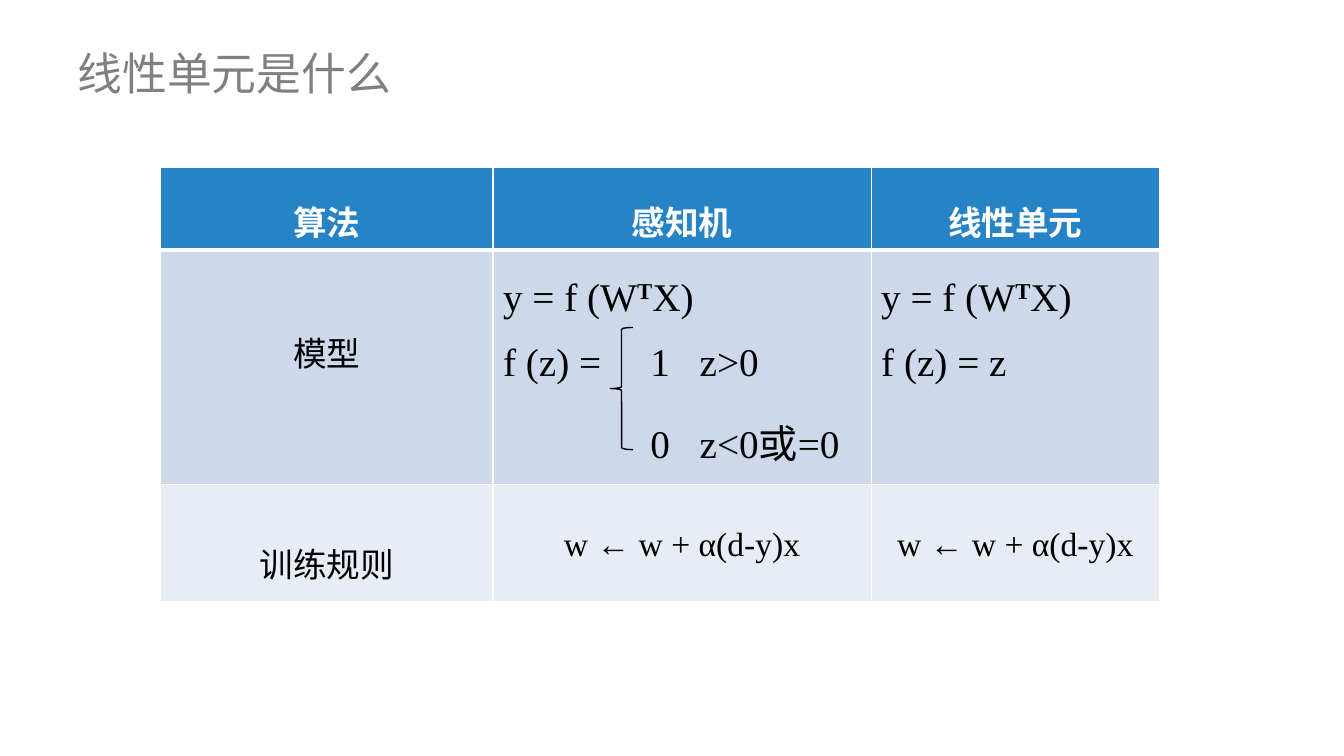
from dataclasses import dataclass

import lxml.etree
import pptx
import pptx.dml.color
import pptx.enum.shapes
import pptx.enum.text
import pptx.oxml.ns
import pptx.util

Inches = pptx.util.Inches
Pt = pptx.util.Pt
qn = pptx.oxml.ns.qn
CENTER = pptx.enum.text.PP_ALIGN.CENTER
LEFT = pptx.enum.text.PP_ALIGN.LEFT


@dataclass(frozen=True)
class Theme:
    chinese: str = "Noto Sans CJK SC"
    formula: str = "Times New Roman"
    title_size: int = 32
    label_size: int = 24
    model_size: int = 28
    title_color: str = "808080"
    header_fill: str = "2683C6"
    model_fill: str = "CDD9EA"
    rule_fill: str = "E8EDF5"
    white: str = "FFFFFF"
    black: str = "000000"


THEME = Theme()
SLIDE_SIZE = (13.33, 7.5)
TITLE_BOX = (0.67, 0.3, 12, 0.84)
COLUMNS = (3.3, 3.75, 2.86)
ROWS = (0.82, 2.33, 1.16)
TABLE_BOX = (1.59, 1.66, sum(COLUMNS), sum(ROWS))
MODEL_BOX = (TABLE_BOX[0] + COLUMNS[0], TABLE_BOX[1] + ROWS[0], COLUMNS[1], ROWS[1])
CASE_TABS = (1.46, 1.95)

HEADERS = ("算法", "感知机", "线性单元")
OUTPUT = (("y = f (W", False), ("T", True), ("X)", False))
PERCEPTRON = (OUTPUT, (("f (z) =\t1\tz>0", False),), (("\t0\tz<0或=0", False),))
LINEAR_UNIT = (OUTPUT, (("f (z) = z", False),))
UPDATE = "w ← w + α(d-y)x"


def rgb(color):
    return pptx.dml.color.RGBColor.from_string(color)


def add_run(paragraph, text, font, size, color, bold=False, superscript=False):
    run = paragraph.add_run()
    run.text = text
    run.font.name = font
    run.font.size = Pt(size)
    run.font.bold = bold or superscript
    run.font.color.rgb = rgb(color)
    properties = run.font._element
    east_asian = lxml.etree.SubElement(properties, qn("a:ea"))
    east_asian.set("typeface", THEME.chinese)
    properties.find(qn("a:latin")).addnext(east_asian)
    if superscript:
        properties.set("baseline", "30000")


def add_tab_stops(paragraph, positions):
    tab_list = lxml.etree.SubElement(paragraph._p.get_or_add_pPr(), qn("a:tabLst"))
    for position in positions:
        tab = lxml.etree.SubElement(tab_list, qn("a:tab"))
        tab.set("pos", str(Inches(position)))
        tab.set("algn", "l")


def style_cell(cell, fill, top, bottom):
    """Fill the cell and give it white borders, with top and bottom widths in points."""
    properties = cell._tc.get_or_add_tcPr()
    for side, width in (("L", 1), ("R", 1), ("T", top), ("B", bottom)):
        line = lxml.etree.SubElement(properties, qn(f"a:ln{side}"), w=str(Pt(width)))
        solid = lxml.etree.SubElement(line, qn("a:solidFill"))
        lxml.etree.SubElement(solid, qn("a:srgbClr"), val=THEME.white)
    cell.fill.solid()
    cell.fill.fore_color.rgb = rgb(fill)


def write_label(cell, text, font, spacing, color=THEME.black, bold=False):
    paragraph = cell.text_frame.paragraphs[0]
    paragraph.alignment = CENTER
    paragraph.line_spacing = spacing
    add_run(paragraph, text, font, THEME.label_size, color, bold)


def write_formulas(cell, formulas):
    frame = cell.text_frame
    for index, pieces in enumerate(formulas):
        paragraph = frame.add_paragraph() if index else frame.paragraphs[0]
        paragraph.alignment = LEFT
        paragraph.line_spacing = 1.5
        if any("\t" in text for text, _ in pieces):
            add_tab_stops(paragraph, CASE_TABS)
        for text, superscript in pieces:
            add_run(paragraph, text, THEME.formula, THEME.model_size,
                    THEME.black, superscript=superscript)


def add_title(slide, box):
    frame = slide.shapes.add_textbox(*map(Inches, box)).text_frame
    frame.word_wrap = True
    frame.vertical_anchor = pptx.enum.text.MSO_ANCHOR.MIDDLE
    add_run(frame.paragraphs[0], "线性单元是什么", THEME.chinese,
            THEME.title_size, THEME.title_color)


def add_comparison_table(slide, box):
    table = slide.shapes.add_table(len(ROWS), len(COLUMNS), *map(Inches, box)).table
    for column, width in zip(table.columns, COLUMNS):
        column.width = Inches(width)
    for row, height in zip(table.rows, ROWS):
        row.height = Inches(height)

    row_styles = ((THEME.header_fill, 1, 3), (THEME.model_fill, 3, 1),
                  (THEME.rule_fill, 1, 1))
    for row, row_style in zip(table.rows, row_styles):
        for cell in row.cells:
            style_cell(cell, *row_style)

    for column, text in enumerate(HEADERS):
        write_label(table.cell(0, column), text, THEME.chinese, 1.5, THEME.white, True)

    model_label = table.cell(1, 0)
    model_label.margin_top = Inches(0.53)
    write_label(model_label, "模型", THEME.chinese, 1.5)
    write_formulas(table.cell(1, 1), PERCEPTRON)
    write_formulas(table.cell(1, 2), LINEAR_UNIT)

    write_label(table.cell(2, 0), "训练规则", THEME.chinese, 2)
    for column in (1, 2):
        write_label(table.cell(2, column), UPDATE, THEME.formula, 2)


def add_case_brace(slide, box):
    """Place the brace of the two cases as shares of the model cell's box."""
    left, top, width, height = box
    place = (left + 0.31 * width, top + 0.33 * height, 0.06 * width, 0.52 * height)
    brace = slide.shapes.add_shape(pptx.enum.shapes.MSO_SHAPE.LEFT_BRACE,
                                   *map(Inches, place))
    brace.shadow.inherit = False
    brace.fill.background()
    brace.line.color.rgb = rgb(THEME.black)
    brace.line.width = Pt(1)


def main():
    presentation = pptx.Presentation()
    presentation.slide_width, presentation.slide_height = map(Inches, SLIDE_SIZE)
    slide = presentation.slides.add_slide(presentation.slide_layouts[6])
    add_title(slide, TITLE_BOX)
    add_comparison_table(slide, TABLE_BOX)
    add_case_brace(slide, MODEL_BOX)
    presentation.save("out.pptx")


if __name__ == "__main__":
    main()
